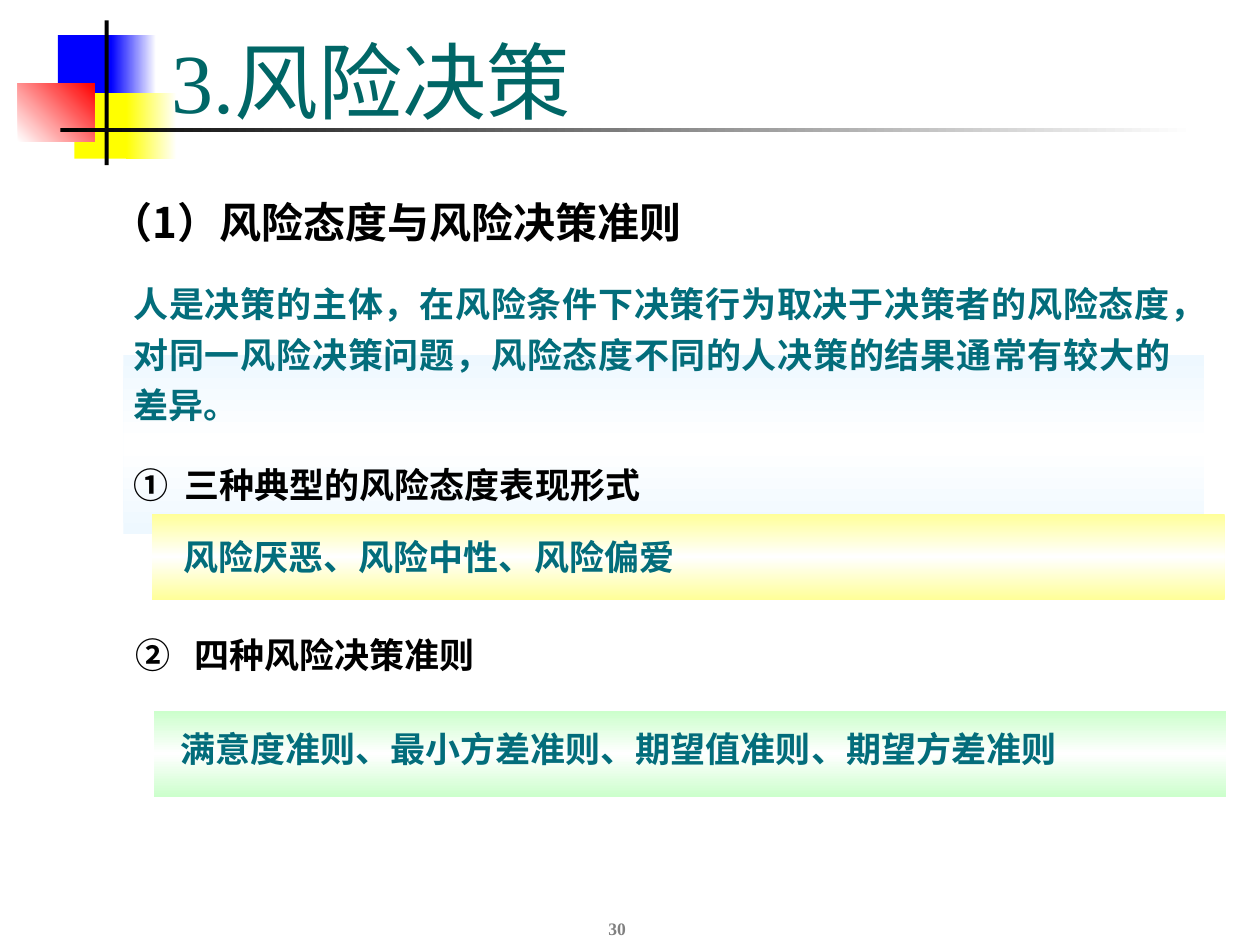
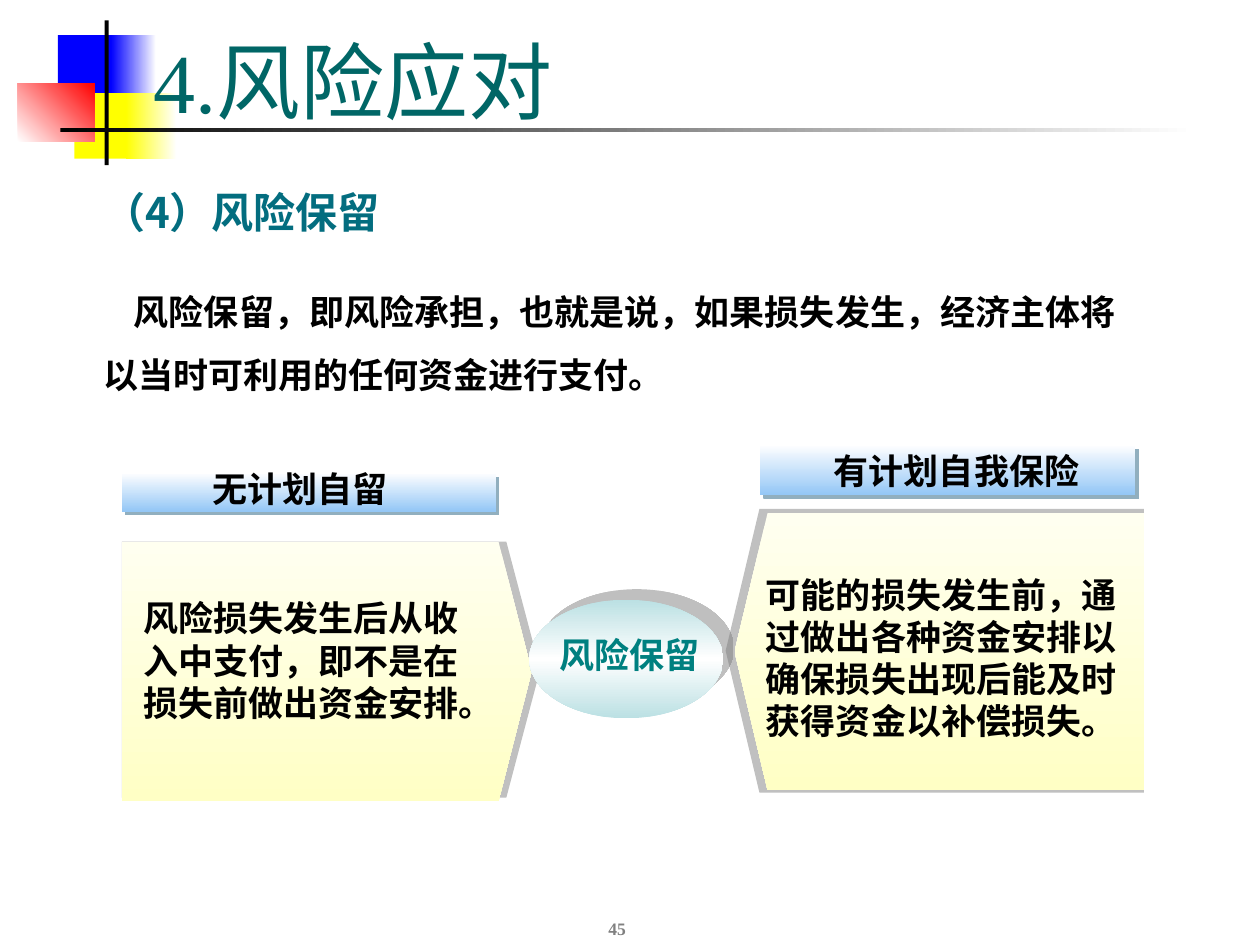
from dataclasses import dataclass
from typing import Optional

from lxml.etree import SubElement
from pptx import Presentation
from pptx.dml.color import RGBColor as Rgb
from pptx.enum.shapes import MSO_SHAPE as Kind
from pptx.enum.text import MSO_ANCHOR as Anchor, PP_ALIGN as Align
from pptx.oxml.ns import qn
from pptx.oxml.xmlchemy import OxmlElement as Element
from pptx.util import Cm, Pt

HUE = {
    "black": "000000", "white": "FFFFFF", "blue": "0000FF", "yellow": "FFFF00",
    "red": "FF0000", "gray": "808080", "silver": "C0C0C0", "title": "006666",
    "teal": "036D7B", "head": "036D7F", "hub": "008080", "pale": "EEF8FF",
    "mint": "CCFFCC", "lemon": "FFFF99", "ivory": "FFFFF0", "cream": "FFFFC5",
    "ice": "FCFDFF", "sky": "94C7F6", "slate": "91AFBF", "aqua": "BBE0E3",
}
SANS, SERIF, ARIAL = "Noto Sans CJK SC", "Times New Roman", "Arial"
Place = tuple[float, float, float, float]


@dataclass
class Shade:
    hue: str
    alpha: int
    dist: float
    angle: int


@dataclass
class Block:
    at: Place
    fill: tuple[str, ...]
    angle: int = 90
    kind: Kind = Kind.RECTANGLE
    adj: Optional[float] = None
    flip: bool = False
    shade: Optional[Shade] = None


DROP = Shade("slate", 100, 2.8, 45)
CAST = Shade("gray", 50, 8.5, 315)
PLATE = ("ivory", "cream")
LABEL = ("ice", "sky")

FRAME = [
    Block((1.17, 0.71, 1.22, 1.32), ("blue",)),
    Block((2.24, 0.71, 0.91, 1.32), ("blue", "white"), 0),
    Block((1.5, 1.88, 1.17, 1.32), ("yellow",)),
    Block((2.54, 1.88, 1.02, 1.32), ("yellow", "white"), 0),
    Block((0.36, 1.68, 1.55, 1.17), ("white", "red"), 315),
    Block((2.11, 0.41, 0.08, 2.92), ("black",)),
    Block((1.22, 2.59, 22.86, 0.08), ("black", "white"), 0),
]
BANDS = [
    Block((2.49, 7.16, 21.79, 3.61), ("pale", "white", "pale")),
    Block((3.1, 14.33, 21.62, 1.73), ("mint", "white", "mint")),
    Block((3.07, 10.36, 21.62, 1.73), ("lemon", "white", "lemon")),
]
PANELS = [
    Block((2.46, 10.92, 8.43, 5.16), ("silver",), kind=Kind.PENTAGON, adj=0.132),
    Block((2.46, 9.55, 7.54, 0.76), LABEL, shade=DROP),
    Block((2.46, 10.92, 8.26, 5.23), PLATE, kind=Kind.PENTAGON, adj=0.128),
    Block((14.63, 10.26, 8.43, 5.72), ("silver",), kind=Kind.PENTAGON, adj=0.119, flip=True),
    Block((14.81, 10.34, 8.26, 5.59), PLATE, kind=Kind.PENTAGON, adj=0.119, flip=True),
    Block((15.32, 8.99, 7.57, 0.99), LABEL, shade=DROP),
    Block((10.67, 12.09, 3.91, 2.39), ("aqua", "white", "aqua"), kind=Kind.OVAL, shade=CAST),
]


def blend(props, hues: tuple[str, ...], angle: int) -> None:
    grad = Element("a:gradFill")
    grad.set("rotWithShape", "1")
    stops = SubElement(grad, qn("a:gsLst"))
    for i, hue in enumerate(hues):
        stop = SubElement(stops, qn("a:gs"), pos=str(100000 * i // (len(hues) - 1)))
        SubElement(stop, qn("a:srgbClr"), val=HUE[hue])
    SubElement(grad, qn("a:lin"), ang=str(angle * 60000), scaled="0")
    props.insert(2, grad)


def cast(props, shade: Shade) -> None:
    outer = SubElement(
        props.find(qn("a:effectLst")), qn("a:outerShdw"), dist=str(Pt(shade.dist)),
        dir=str(shade.angle * 60000), algn="ctr", rotWithShape="0")
    tint = SubElement(outer, qn("a:srgbClr"), val=HUE[shade.hue])
    SubElement(tint, qn("a:alpha"), val=str(shade.alpha * 1000))


def draw(slide, blocks: list[Block]) -> None:
    for block in blocks:
        shape = slide.shapes.add_shape(block.kind, *map(Cm, block.at))
        shape.shadow.inherit = False
        shape.line.fill.background()
        props = shape._element.spPr
        if len(block.fill) == 1:
            shape.fill.solid()
            shape.fill.fore_color.rgb = Rgb.from_string(HUE[block.fill[0]])
        else:
            blend(props, block.fill, block.angle)
        if block.adj is not None:
            shape.adjustments[0] = block.adj
        if block.flip:
            props.find(qn("a:xfrm")).set("flipH", "1")
        if block.shade:
            cast(props, block.shade)


def write(slide, text: str, at: Place, *, size: float = 20, font: str = SANS,
          hue: str = "black", bold: bool = True, align: Align = Align.LEFT,
          anchor: Anchor = Anchor.TOP, lead: Optional[float] = None,
          indent: float = 0, tab: float = 0) -> None:
    frame = slide.shapes.add_textbox(*map(Cm, at)).text_frame
    frame.word_wrap = True
    frame.vertical_anchor = anchor
    para = frame.paragraphs[0]
    para.alignment = align
    if lead:
        para.line_spacing = lead
    props = para._p.get_or_add_pPr()
    if indent:
        props.set("indent", str(Cm(indent)))
    if tab:
        tabs = SubElement(props, qn("a:tabLst"))
        SubElement(tabs, qn("a:tab"), pos=str(Cm(tab)), algn="l")
    run = para.add_run()
    run.text = text
    run.font.size = Pt(size)
    run.font.name = font
    run.font.bold = bold
    run.font.color.rgb = Rgb.from_string(HUE[hue])
    SubElement(run._r.get_or_add_rPr(), qn("a:ea"), typeface=SANS)


def start(deck, title: str, left: float, page: int):
    slide = deck.slides.add_slide(deck.slide_layouts[6])
    draw(slide, FRAME)
    write(slide, title, (left, 0.41, 21.64, 2.34), size=48, font=SERIF,
          hue="title", bold=False, anchor=Anchor.BOTTOM)
    write(slide, str(page), (9.8, 17.78, 5.28, 1.27), size=10, font=SERIF,
          hue="gray", align=Align.CENTER, anchor=Anchor.BOTTOM)
    return slide


def choice(deck) -> None:
    slide = start(deck, "3.风险决策", 3.2, 30)
    draw(slide, BANDS)
    body = {"align": Align.JUSTIFY, "anchor": Anchor.MIDDLE}
    write(slide, "（1）风险态度与风险决策准则", (1.98, 3.4, 22.83, 1.63),
          size=24, lead=1.5, **body)
    write(slide, "人是决策的主体，在风险条件下决策行为取决于决策者的风险态度，"
          "对同一风险决策问题，风险态度不同的人决策的结果通常有较大的差异。",
          (2.44, 5.41, 21.41, 3.3), hue="teal", lead=1.2, **body)
    write(slide, "①\t三种典型的风险态度表现形式", (2.44, 8.86, 15.01, 1.4),
          lead=1.5, tab=1.03, **body)
    write(slide, "风险厌恶、风险中性、风险偏爱", (3.45, 10.67, 21.59, 1.09),
          hue="teal", align=Align.JUSTIFY)
    write(slide, "②\t四种风险决策准则", (2.49, 12.29, 15.01, 1.4),
          font=ARIAL, lead=1.5, tab=1.18, **body)
    write(slide, "满意度准则、最小方差准则、期望值准则、期望方差准则",
          (3.38, 14.38, 19, 0.99), font=ARIAL, hue="teal", lead=1.5, **body)


def reply(deck) -> None:
    slide = start(deck, "4.风险应对", 2.84, 45)
    write(slide, "（4）风险保留", (1.83, 3.63, 22.86, 1.4), size=24, hue="head")
    write(slide, "风险保留，即风险承担，也就是说，如果损失发生，经济主体将"
          "以当时可利用的任何资金进行支付。", (1.83, 5.31, 21.59, 2.11),
          lead=1.5, indent=0.62)
    draw(slide, PANELS)
    for text, at in (
        ("无计划自留", (4.04, 9.3, 4.57, 1.09)),
        ("风险损失发生后从收入中支付，即不是在损失前做出资金安排。", (2.64, 11.91, 7.26, 4.32)),
        ("有计划自我保险", (16.56, 8.94, 5.79, 1.09)),
        ("可能的损失发生前，通过做出各种资金安排以确保损失出现后能及时获得资金以补偿损失。",
         (15.19, 11.43, 7.67, 3.63)),
    ):
        write(slide, text, at, font=SERIF)
    write(slide, "风险保留", (10.77, 12.65, 3.86, 1.09), hue="hub", align=Align.CENTER)


def main() -> None:
    deck = Presentation()
    deck.slide_width, deck.slide_height = Cm(25.4), Cm(19.05)
    choice(deck)
    reply(deck)
    deck.save("out.pptx")


if __name__ == "__main__":
    main()
